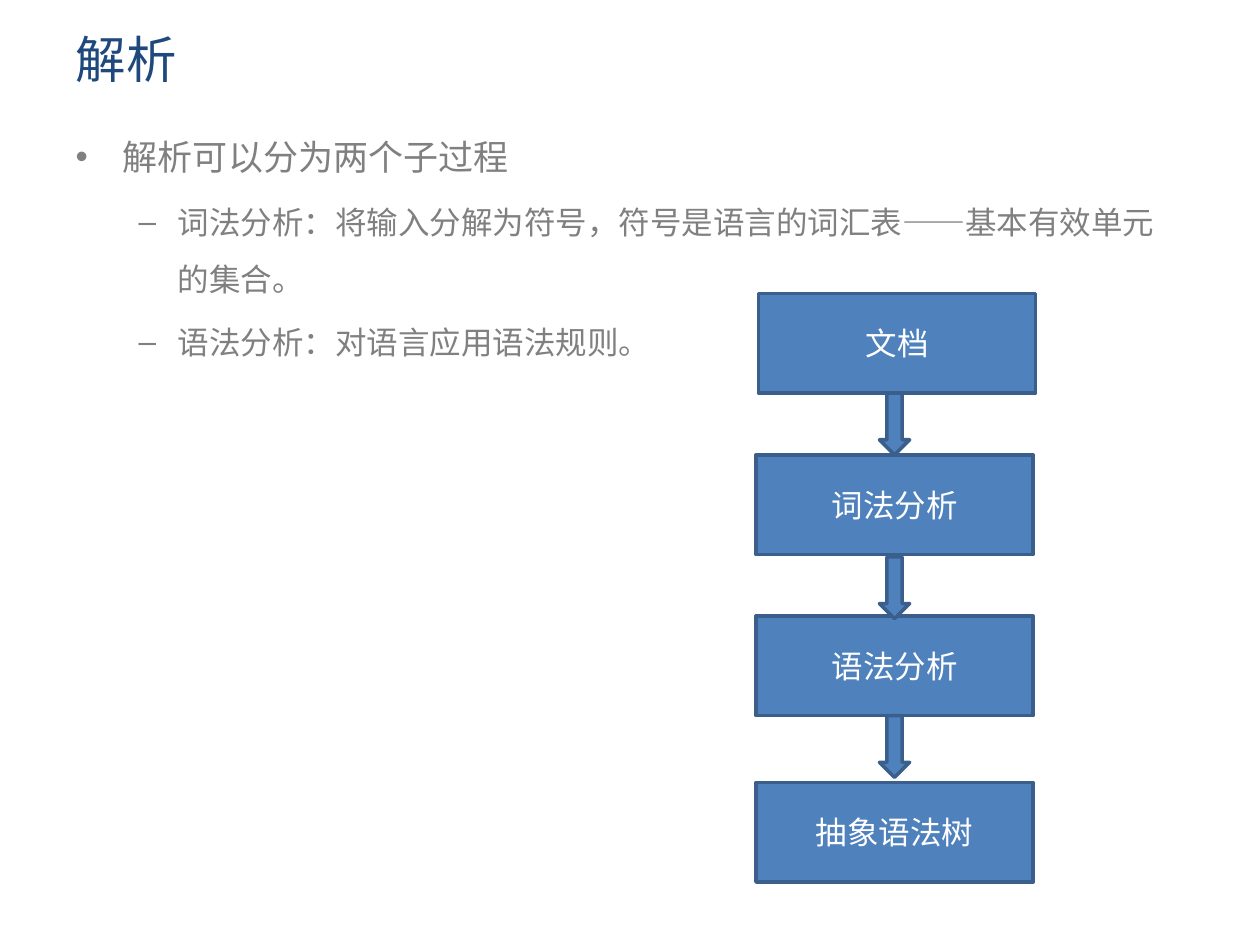
from lxml import etree
from pptx import Presentation
from pptx.dml.color import RGBColor
from pptx.enum.shapes import MSO_SHAPE
from pptx.enum.text import MSO_ANCHOR, MSO_AUTO_SIZE, PP_ALIGN
from pptx.oxml.ns import qn
from pptx.util import Inches, Pt

RECTANGLE, DOWN_ARROW = MSO_SHAPE.RECTANGLE, MSO_SHAPE.DOWN_ARROW
MIDDLE = MSO_ANCHOR.MIDDLE
NO_AUTOFIT = MSO_AUTO_SIZE.NONE
LEFT, CENTER = PP_ALIGN.LEFT, PP_ALIGN.CENTER
CJK_FONT = "Noto Sans CJK SC"


def format_paragraph(para, size, color, latin_font):
    """Set size, colour and both the Latin and East Asian typefaces."""
    para.font.size = Pt(size)
    para.font.color.rgb = RGBColor.from_string(color)
    para.font.name = latin_font
    properties = para._p.get_or_add_pPr().find(qn("a:defRPr"))
    etree.SubElement(properties, qn("a:ea"), typeface=CJK_FONT)


def add_flow_shape(kind, left, top, width, height):
    shape = slide.shapes.add_shape(
        kind, Inches(left), Inches(top), Inches(width), Inches(height))
    shape.shadow.inherit = False
    shape.fill.solid()
    shape.fill.fore_color.rgb = RGBColor.from_string("4F81BD")
    shape.line.color.rgb = RGBColor.from_string("3A5F8C")
    shape.line.width = Pt(2)
    return shape


deck = Presentation()
deck.slide_width, deck.slide_height = Inches(10), Inches(7.5)
slide = deck.slides.add_slide(deck.slide_layouts[1])

# Title and list
title, body = slide.placeholders
for holder, top, height in ((title, 0.16, 0.61), (body, 0.86, 5.96)):
    holder.left, holder.top = Inches(0.5), Inches(top)
    holder.width, holder.height = Inches(9), Inches(height)
    holder.text_frame.auto_size = NO_AUTOFIT

title.text_frame.text = "解析"
title.text_frame.vertical_anchor = MIDDLE
title_para = title.text_frame.paragraphs[0]
title_para.alignment = LEFT
format_paragraph(title_para, 28.8, "1F497D", CJK_FONT)

points = [
    (0, 20, "解析可以分为两个子过程"),
    (1, 18, "词法分析：将输入分解为符号，符号是语言的词汇表——基本有效单元的集合。"),
    (1, 18, "语法分析：对语言应用语法规则。"),
]
body.text_frame.text = "\n".join(text for _, _, text in points)
for para, (level, size, _) in zip(body.text_frame.paragraphs, points):
    para.level = level
    para.line_spacing = 1.5
    format_paragraph(para, size, "808080", CJK_FONT)

# Parsing flow: boxes, then the arrows between them
stages = [("文档", 6.02, 2.33), ("词法分析", 6, 3.61),
          ("语法分析", 6, 4.89), ("抽象语法树", 6, 6.21)]
for name, left, top in stages:
    box = add_flow_shape(RECTANGLE, left, top, 2.2, 0.79)
    box.text_frame.text = name
    box.text_frame.vertical_anchor = MIDDLE
    para = box.text_frame.paragraphs[0]
    para.alignment = CENTER
    format_paragraph(para, 18, "FFFFFF", "Calibri")

for top in (3.12, 4.42, 5.68):
    add_flow_shape(DOWN_ARROW, 6.98, top, 0.24, 0.49)

deck.save("out.pptx")
